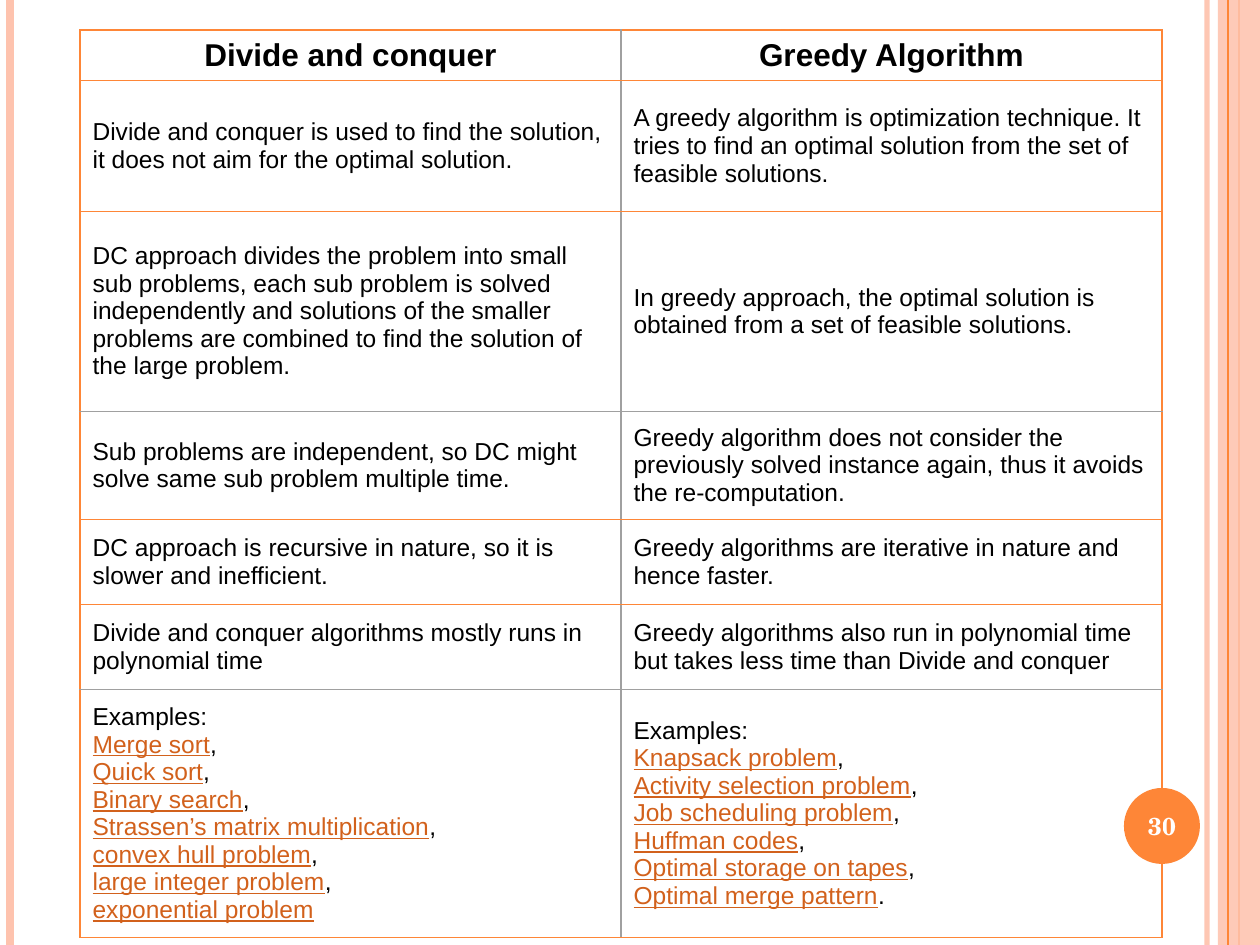
from lxml import etree
from pptx import Presentation
from pptx.dml.color import RGBColor
from pptx.enum.shapes import MSO_CONNECTOR, MSO_SHAPE
from pptx.enum.text import MSO_ANCHOR, PP_ALIGN
from pptx.oxml.ns import qn
from pptx.util import Emu, Pt

STRAIGHT = MSO_CONNECTOR.STRAIGHT
RECTANGLE, OVAL = MSO_SHAPE.RECTANGLE, MSO_SHAPE.OVAL
MIDDLE = MSO_ANCHOR.MIDDLE
LEFT, CENTER = PP_ALIGN.LEFT, PP_ALIGN.CENTER

PX_PER_INCH = 126
WIDTH, HEIGHT = 1260, 945
ORANGE, PEACH, LINK, GREY = "FE8637", "FEC3AE", "D2611C", "A0A0A0"
BLACK, WHITE = "000000", "FFFFFF"

STRIPES = [(1207, PEACH, 3, 93), (10, PEACH, 4.5, 100), (1239, ORANGE, 1.5, 100)]
ROW_HEIGHTS = [48, 131, 200, 108, 85, 85, 233]
GREY_RULES = {3, 6}
HEADINGS = ["Divide and conquer", "Greedy Algorithm"]
COMPARISON = [
    ["Divide and conquer is used to find the solution, it does not aim for the optimal solution.",
     "A greedy algorithm is optimization technique. It tries to find an optimal solution "
     "from the set of feasible solutions."],
    ["DC approach divides the problem into small sub problems, each sub problem is solved "
     "independently and solutions of the smaller problems are combined to find the solution "
     "of the large problem.",
     "In greedy approach, the optimal solution is obtained from a set of feasible solutions."],
    ["Sub problems are independent, so DC might solve same sub problem multiple time.",
     "Greedy algorithm does not consider the previously solved instance again, thus it avoids "
     "the re-computation."],
    ["DC approach is recursive in nature, so it is slower and inefficient.",
     "Greedy algorithms are iterative in nature and hence faster."],
    ["Divide and conquer algorithms mostly runs in polynomial time",
     "Greedy algorithms also run in polynomial time but takes less time than Divide and conquer"],
]
EXAMPLES = [
    (["Merge sort", "Quick sort", "Binary search", "Strassen’s matrix multiplication",
      "convex hull problem", "large integer problem", "exponential problem"], ""),
    (["Knapsack problem", "Activity selection problem", "Job scheduling problem",
      "Huffman codes", "Optimal storage on tapes", "Optimal merge pattern"], "."),
]


def px(length):
    return Emu(round(length * 914400 / PX_PER_INCH))


def rgb(color):
    return RGBColor.from_string(color)


def set_opacity(fill_parent, percent):
    if percent < 100:
        color = fill_parent.find(".//" + qn("a:srgbClr"))
        etree.SubElement(color, qn("a:alpha"), val=str(percent * 1000))


class SlideBuilder:
    font = "Arial"
    number_font = "TeX Gyre Schola"

    def __init__(self, slide):
        self.slide = slide

    def stripe(self, x, color, weight, opacity=100):
        line = self.slide.shapes.add_connector(STRAIGHT, px(x), 0, px(x), px(HEIGHT))
        line.line.color.rgb = rgb(color)
        line.line.width = Pt(weight)
        properties = line._element.spPr
        set_opacity(properties, opacity)
        etree.SubElement(properties, qn("a:effectLst"))

    def block(self, kind, x, y, width, height, color, opacity=100):
        block = self.slide.shapes.add_shape(kind, px(x), px(y), px(width), px(height))
        block.shadow.inherit = False
        block.fill.solid()
        block.fill.fore_color.rgb = rgb(color)
        block.line.fill.background()
        set_opacity(block._element.spPr, opacity)

    def run(self, paragraph, text, size, color=BLACK, bold=False, underline=False, font=None):
        run = paragraph.add_run()
        run.text = text
        run.font.name = font or self.font
        run.font.size = Pt(size)
        run.font.bold = bold
        run.font.underline = underline
        run.font.color.rgb = rgb(color)

    def page_number(self, text, x, y, width, height):
        box = self.slide.shapes.add_textbox(px(x), px(y), px(width), px(height))
        frame = box.text_frame
        frame.word_wrap = True
        frame.vertical_anchor = MIDDLE
        paragraph = frame.paragraphs[0]
        paragraph.alignment = CENTER
        self.run(paragraph, text, 14, WHITE, bold=True, font=self.number_font)

    def table(self, x, y, column_widths, row_heights):
        table = self.slide.shapes.add_table(
            len(row_heights), len(column_widths), px(x), px(y),
            px(sum(column_widths)), px(sum(row_heights))).table
        table.first_row = False
        table.horz_banding = False
        for column, width in zip(table.columns, column_widths):
            column.width = px(width)
        for row, height in zip(table.rows, row_heights):
            row.height = px(height)
        return table

    def cell(self, table, row, column):
        cell = table.cell(row, column)
        cell.vertical_anchor = MIDDLE
        top = GREY if row in GREY_RULES else ORANGE
        bottom = GREY if row + 1 in GREY_RULES else ORANGE
        left, right = (ORANGE, GREY) if column == 0 else (GREY, ORANGE)
        properties = cell._tc.get_or_add_tcPr()
        for side, color in zip(("lnL", "lnR", "lnT", "lnB"), (left, right, top, bottom)):
            border = etree.SubElement(properties, qn("a:" + side), w=str(Pt(1)))
            fill = etree.SubElement(border, qn("a:solidFill"))
            etree.SubElement(fill, qn("a:srgbClr"), val=color)
        cell.fill.background()
        paragraph = cell.text_frame.paragraphs[0]
        paragraph.alignment = CENTER if row == 0 else LEFT
        return paragraph

    def examples(self, paragraph, names, ending):
        self.run(paragraph, "Examples:", 14)
        for name in names:
            paragraph.add_line_break()
            self.run(paragraph, name, 14, LINK, underline=True)
            mark = ending if name == names[-1] else ","
            if mark:
                self.run(paragraph, mark, 14)


def main():
    deck = Presentation()
    deck.slide_width, deck.slide_height = px(WIDTH), px(HEIGHT)
    builder = SlideBuilder(deck.slides.add_slide(deck.slide_layouts[6]))

    for stripe in STRIPES:
        builder.stripe(*stripe)
    builder.block(RECTANGLE, 1218, 0, 42, HEIGHT, PEACH, 87)
    builder.stripe(1228, ORANGE, 0.75)
    builder.block(OVAL, 1124, 788, 76, 76, ORANGE)
    builder.page_number("30", 1120, 790, 84, 72)

    table = builder.table(80, 30, [541, 541], ROW_HEIGHTS)
    for column, heading in enumerate(HEADINGS):
        builder.run(builder.cell(table, 0, column), heading, 18, bold=True)
    for row, statements in enumerate(COMPARISON, start=1):
        for column, statement in enumerate(statements):
            builder.run(builder.cell(table, row, column), statement, 14)
    for column, (names, ending) in enumerate(EXAMPLES):
        builder.examples(builder.cell(table, len(ROW_HEIGHTS) - 1, column), names, ending)

    deck.save("out.pptx")


if __name__ == "__main__":
    main()
